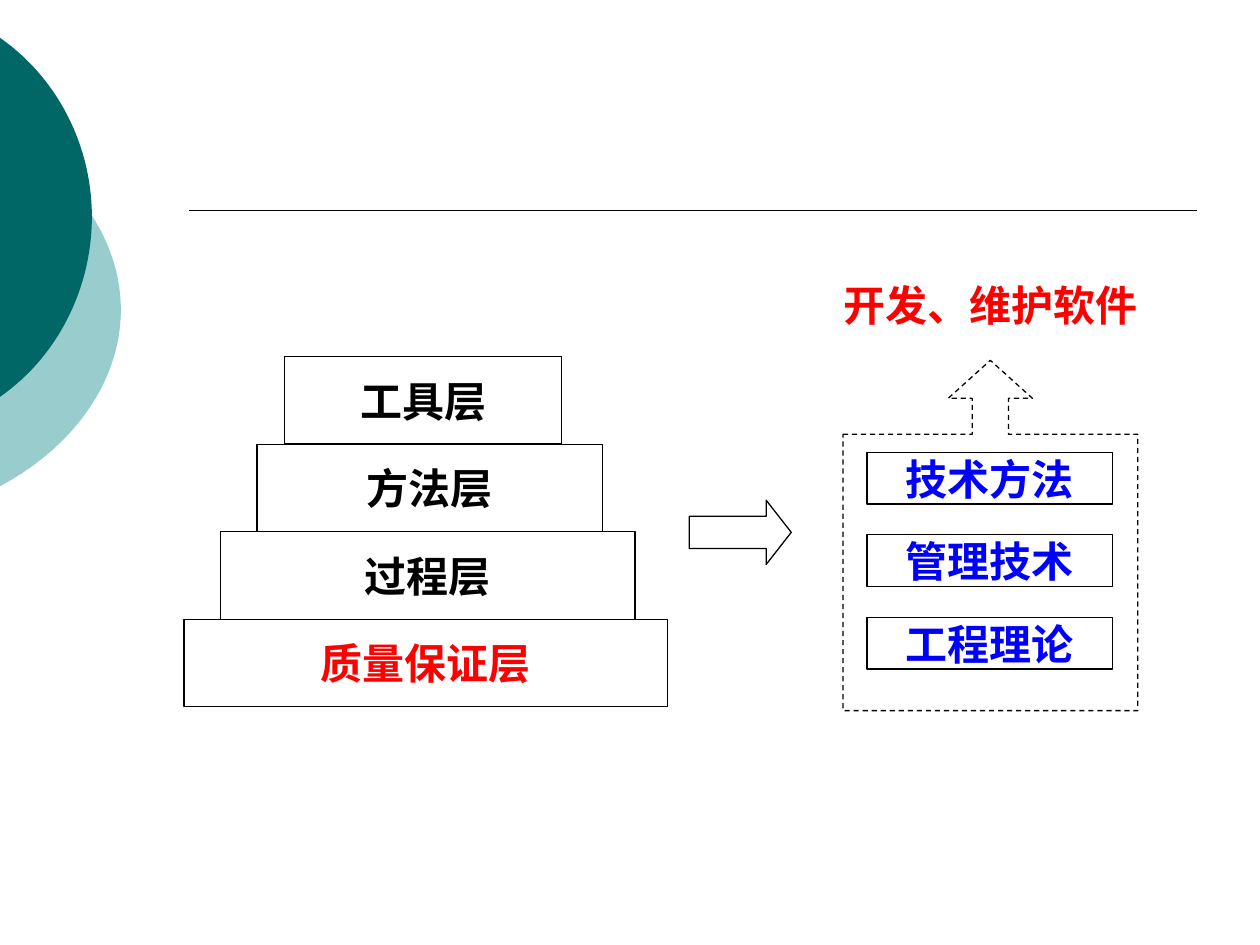
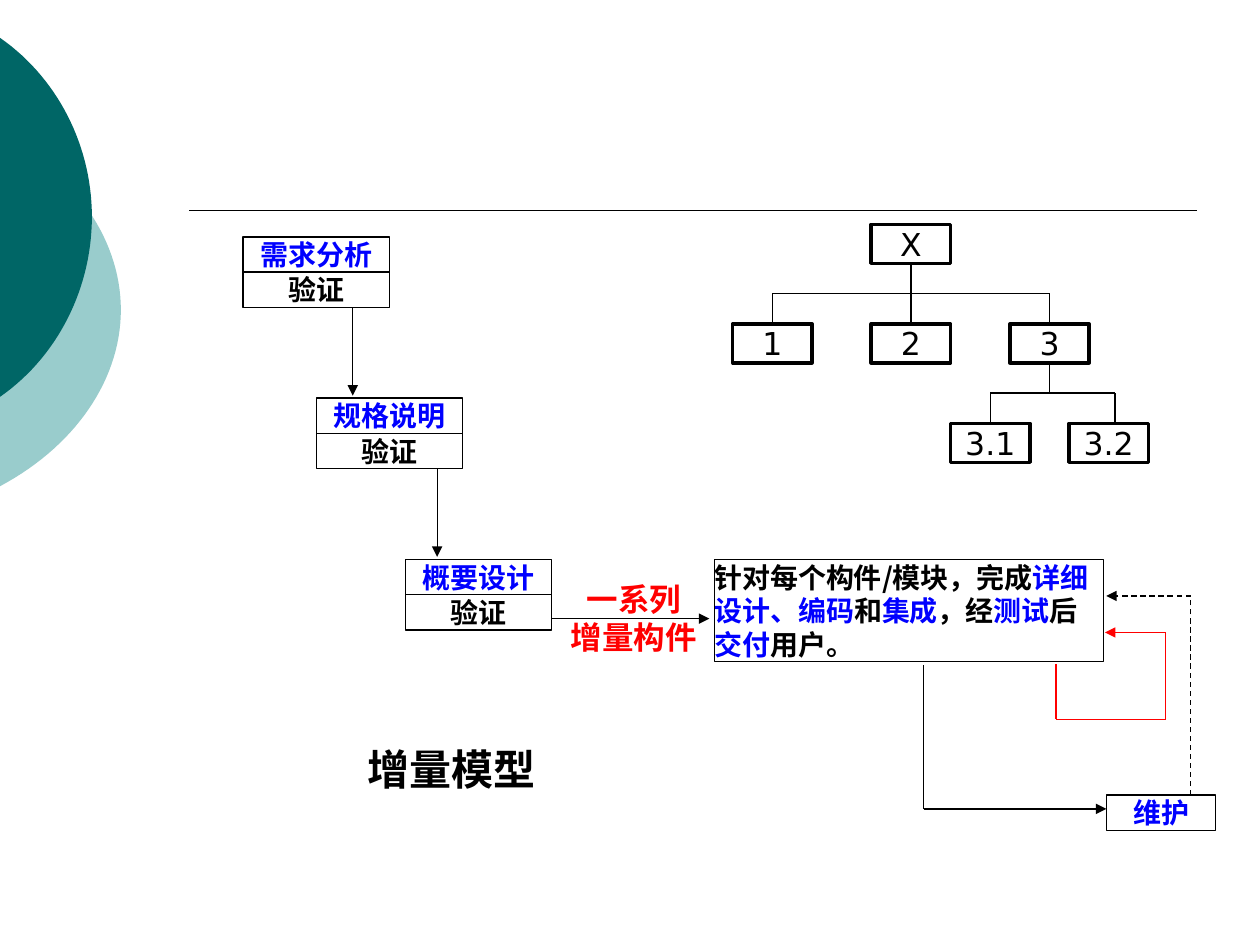
from lxml.etree import SubElement as Sub
from pptx import Presentation
from pptx.dml.color import RGBColor as Rgb
from pptx.enum.dml import MSO_LINE as Dash
from pptx.enum.shapes import MSO_CONNECTOR as Link, MSO_SHAPE as Kind
from pptx.enum.text import MSO_ANCHOR as Anchor, PP_ALIGN as Align
from pptx.oxml.ns import qn
from pptx.util import Inches, Pt

HUES = {
    "ink": "000000",
    "red": "FF0000",
    "blue": "0000FF",
    "teal": "006666",
    "mist": "99CCCC",
}
HAN = "Noto Sans CJK SC"
LATIN = "Arial"
PLAIN = "DejaVu Sans"
NODE_W, NODE_H = 0.63, 0.31
TREE_TOP, TREE_STEP, FORK_DROP = 1.78, 0.79, 0.55
STAGE_W, STAGE_H = 1.16, 0.28


def hue(name):
    return Rgb.from_string(HUES[name])


def write(shape, text, size, tone="ink", face=HAN, bold=True, align=Align.CENTER, wrap=False):
    frame = shape.text_frame
    frame.word_wrap = wrap
    frame.vertical_anchor = Anchor.MIDDLE
    frame.margin_left = frame.margin_right = 0
    frame.margin_top = frame.margin_bottom = 0
    for i, row in enumerate(text.split("\n")):
        para = frame.add_paragraph() if i else frame.paragraphs[0]
        para.alignment = align
        font = para.font
        font.name, font.size, font.bold = face, Pt(size), bold
        font.color.rgb = hue(tone)
        Sub(para._p.pPr.find(qn("a:defRPr")), qn("a:ea"), typeface=HAN)
        for j, piece in enumerate(row.split("|")):
            run = para.add_run()
            run.text = piece
            if j % 2:
                run.font.color.rgb = hue("blue")


def draw(slide, kind, left, top, width, height, weight=0.75, dash=None):
    shape = slide.shapes.add_shape(kind, *map(Inches, (left, top, width, height)))
    shape.shadow.inherit = False
    shape.fill.background()
    shape.line.color.rgb = hue("ink")
    shape.line.width = Pt(weight)
    if dash:
        shape.line.dash_style = dash
    return shape


def box(slide, text, left, top, width, height, size, tone="ink", **style):
    write(draw(slide, Kind.RECTANGLE, left, top, width, height), text, size, tone, **style)


def label(slide, text, left, top, width, height, size, tone="ink", face=HAN):
    area = slide.shapes.add_textbox(*map(Inches, (left, top, width, height)))
    write(area, text, size, tone, face)


def trace(slide, *spots, tone="ink", weight=0.75, dash=None, arrow=False):
    for start, end in zip(spots, spots[1:]):
        line = slide.shapes.add_connector(Link.STRAIGHT, *map(Inches, start + end))
        line.line.color.rgb = hue(tone)
        line.line.width = Pt(weight)
        if dash:
            line.line.dash_style = dash
        Sub(line._element.spPr, qn("a:effectLst"))
    if arrow:
        Sub(line.line._get_or_add_ln(), qn("a:tailEnd"), type="triangle")


def curve(a, b, c, d, steps=30):
    for i in range(steps + 1):
        t = i / steps
        u = 1 - t
        yield tuple(
            u**3 * p + 3 * u * u * t * q + 3 * u * t * t * r + t**3 * s
            for p, q, r, s in zip(a, b, c, d)
        )


def disc(slide, tone, right, bend, top, high, mid, low, base):
    spots = [
        *curve((0, top), (bend, high), (right, mid - (mid - high) * 0.51), (right, mid)),
        *curve((right, mid), (right, mid + (low - mid) * 0.51), (bend, low), (0, base)),
    ]
    spots = [(Inches(x), Inches(y)) for x, y in spots]
    maker = slide.shapes.build_freeform(*spots[0])
    maker.add_line_segments(spots[1:], close=True)
    shape = maker.convert_to_shape()
    shape.shadow.inherit = False
    shape.fill.solid()
    shape.fill.fore_color.rgb = hue(tone)
    shape.line.fill.background()


def begin(deck):
    slide = deck.slides.add_slide(deck.slide_layouts[6])
    disc(slide, "mist", 0.96, 0.6, 1.06, 1.38, 2.46, 3.54, 3.86)
    disc(slide, "teal", 0.73, 0.46, 0.3, 0.62, 1.72, 2.83, 3.15)
    trace(slide, (1.5, 1.67), (9.5, 1.67), weight=1)
    return slide


def layers(slide):
    tiers = [
        ("工具层", 2.26, 2.2, "ink"),
        ("方法层", 2.04, 2.74, "ink"),
        ("过程层", 1.75, 3.29, "ink"),
        ("质量保证层", 1.46, 3.84, "red"),
    ]
    for i, (text, left, width, tone) in enumerate(tiers):
        box(slide, text, left, 2.83 + i * 0.695, width, 0.695, 24, tone)


def basis(slide):
    frame = draw(slide, Kind.UP_ARROW_CALLOUT, 6.69, 2.86, 2.34, 2.78, dash=Dash.DASH)
    for i, value in enumerate((0.123, 0.143, 0.129, 0.789)):
        frame.adjustments[i] = value
    arrow = draw(slide, Kind.RIGHT_ARROW, 5.47, 3.97, 0.81, 0.51)
    arrow.adjustments[1] = 0.39
    for i, text in enumerate(("技术方法", "管理技术", "工程理论")):
        box(slide, text, 6.88, 3.59 + i * 0.655, 1.95, 0.41, 24, "blue")
    label(slide, "开发、维护软件", 6.39, 2.1, 2.94, 0.63, 24, "red")


def node(slide, text, mid, row):
    top = TREE_TOP + row * TREE_STEP
    shape = draw(slide, Kind.RECTANGLE, mid - NODE_W / 2, top, NODE_W, NODE_H, weight=2)
    write(shape, text, 18, face=PLAIN, bold=False)


def fork(slide, stem, row, ends):
    top = TREE_TOP + row * TREE_STEP
    bar = top + FORK_DROP
    trace(slide, (stem, top + NODE_H), (stem, bar))
    trace(slide, (ends[0], bar), (ends[-1], bar))
    for x in ends:
        trace(slide, (x, bar), (x, top + TREE_STEP))


def tree(slide):
    mids = (6.13, 7.23, 8.33)
    node(slide, "X", mids[1], 0)
    for text, mid in zip("123", mids):
        node(slide, text, mid, 1)
    node(slide, "3.1", 7.86, 2)
    node(slide, "3.2", 8.8, 2)
    fork(slide, mids[1], 0, mids)
    fork(slide, mids[2], 1, (7.86, 8.85))


def stages(slide):
    for i, (text, left) in enumerate((("需求分析", 1.93), ("规格说明", 2.51), ("概要设计", 3.22))):
        top = 1.88 + i * 1.28
        for text, shift, tone in ((text, 0, "blue"), ("验证", STAGE_H, "ink")):
            box(slide, text, left, top + shift, STAGE_W, STAGE_H, 16, tone, face=LATIN)
    for x, top in ((2.8, 2.44), (3.47, 3.72)):
        trace(slide, (x, top), (x, top + 0.7), arrow=True)


def build(slide):
    task = "针对每个构件/模块，完成|详细设计、编码|和|集成|，经|测试|后|交付|用户。"
    box(slide, task, 5.67, 4.44, 3.09, 0.81, 16, align=Align.LEFT, wrap=True)
    box(slide, "维护", 8.78, 6.31, 0.87, 0.28, 16, "blue", face=LATIN)
    trace(slide, (4.38, 4.91), (5.63, 4.91), arrow=True)
    trace(slide, (7.33, 5.28), (7.33, 6.42), (8.78, 6.42), arrow=True)
    loop = (8.38, 5.27), (8.38, 5.71), (9.25, 5.71), (9.25, 5.02), (8.77, 5.02)
    trace(slide, *loop, tone="red", arrow=True)
    trace(slide, (9.45, 6.31), (9.45, 4.73), (8.78, 4.73), dash=Dash.DASH, arrow=True)
    label(slide, "一系列\n增量构件", 4.49, 4.6, 1.08, 0.61, 18, "red")
    label(slide, "增量模型", 2.8, 5.85, 1.57, 0.5, 24, face=LATIN)


def main():
    deck = Presentation()
    deck.slide_width, deck.slide_height = Inches(10), Inches(7.5)
    first = begin(deck)
    layers(first)
    basis(first)
    second = begin(deck)
    tree(second)
    stages(second)
    build(second)
    deck.save("out.pptx")


if __name__ == "__main__":
    main()
